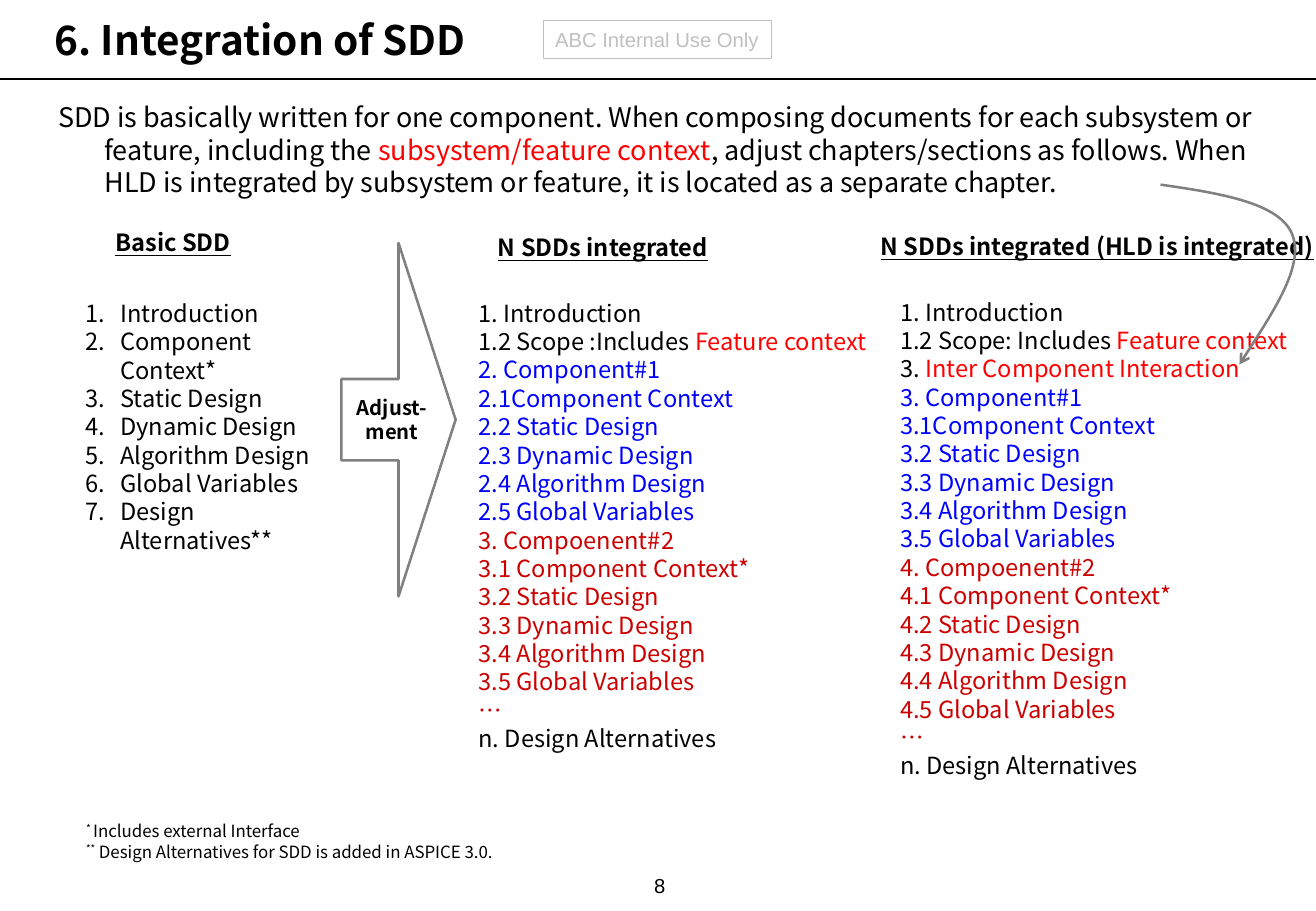
"""Build the slide that explains how several SDDs are integrated into one."""
from dataclasses import dataclass

from lxml import etree
from pptx import Presentation
from pptx import util as u
from pptx.dml.color import RGBColor
from pptx.enum import shapes, text
from pptx.oxml.ns import qn


@dataclass(frozen=True)
class Theme:
    """Hold the colours, fonts and type sizes."""
    black: str = "000000"
    white: str = "FFFFFF"
    red: str = "FF0000"
    blue: str = "0000FF"
    crimson: str = "CC0000"
    grey: str = "808080"
    silver: str = "C0C0C0"
    sans: str = "Noto Sans CJK KR"
    plain: str = "Arial"
    title: int = 24
    body: int = 16
    item: int = 14
    label: int = 12
    note: int = 10
    leading: float = 1.2


THEME = Theme()
COMPONENT_PARTS = ("Static Design", "Dynamic Design", "Algorithm Design", "Global Variables")


def px(value):
    """Turn px, at 100 to the inch, into EMU."""
    return u.Emu(value * 9144)


def assign(target, values):
    """Set attributes from a dict of format values."""
    for name, value in values.items():
        setattr(target, name, value)


class SlideBuilder:
    """Draw elements in the theme's style on the current slide."""

    def __init__(self, slide, theme):
        self.slide, self.theme = slide, theme

    def place(self, shape, box):
        """Move a shape to a px box."""
        assign(shape, dict(zip(("left", "top", "width", "height"), map(px, box))))

    def outline(self, shape, color, width):
        """Colour the line of a shape."""
        shape.line.color.rgb = RGBColor.from_string(color)
        shape.line.width = u.Pt(width)

    def set_text(self, shape, paragraphs, size, frame=None, layout=None, font=None,
                 color=None, hanging=0, numbered=False, leading=True):
        """Fill a shape with paragraphs, each a list of (text, format) runs."""
        assign(shape.text_frame, {"word_wrap": True, "auto_size": text.MSO_AUTO_SIZE.NONE, **(frame or {})})
        for index, runs in enumerate(paragraphs):
            paragraph = shape.text_frame.paragraphs[0] if index == 0 else shape.text_frame.add_paragraph()
            assign(paragraph, {"alignment": text.PP_ALIGN.LEFT, "space_before": u.Pt(0), **(layout or {})})
            if leading:
                paragraph.line_spacing = u.Pt(size * self.theme.leading)
            if hanging:
                properties = paragraph._p.get_or_add_pPr()
                properties.set("marL", str(px(hanging)))
                properties.set("indent", str(-px(hanging)))
                if numbered:
                    bullet = etree.SubElement(properties, qn("a:buFont"))
                    bullet.set("typeface", "+mj-lt")
                    etree.SubElement(properties, qn("a:buAutoNum")).set("type", "arabicPeriod")
                else:
                    etree.SubElement(properties, qn("a:buNone"))
            for content, style in runs:
                style = {"color": color or self.theme.black, "size": size, "raised": False, **style}
                run = paragraph.add_run()
                run.text = content
                run.font.color.rgb = RGBColor.from_string(style.pop("color"))
                if style.pop("raised"):
                    run._r.get_or_add_rPr().set("baseline", "30000")
                style["size"] = u.Pt(style["size"])
                assign(run.font, {"name": self.theme.sans, **(font or {}), **style})

    def placeholder(self, index, box, paragraphs, size, **options):
        """Move and fill a template placeholder."""
        shape = self.slide.placeholders[index]
        self.place(shape, box)
        self.set_text(shape, paragraphs, size, **options)

    def text_box(self, box, paragraphs, size, **options):
        """Add a text box."""
        shape = self.slide.shapes.add_textbox(*map(px, box))
        self.set_text(shape, paragraphs, size, **options)

    def preset(self, kind, box, paragraphs, size, line, fill=None, adjustments=(), **options):
        """Add an outlined preset shape with text."""
        shape = self.slide.shapes.add_shape(kind, *map(px, box))
        shape.shadow.inherit = False
        for index, value in enumerate(adjustments):
            shape.adjustments[index] = value
        if fill:
            shape.fill.solid()
            shape.fill.fore_color.rgb = RGBColor.from_string(fill)
        else:
            shape.fill.background()
        self.outline(shape, *line)
        self.set_text(shape, paragraphs, size, **options)

    def rule(self, start, end, color, width):
        """Add a straight line."""
        connector = self.slide.shapes.add_connector(shapes.MSO_CONNECTOR.STRAIGHT, *map(px, start + end))
        self.outline(connector, color, width)
        etree.SubElement(connector._element.spPr, qn("a:effectLst"))

    def curved_arrow(self, start, points, color, width):
        """Add an arrow along cubic curves, three points to a curve."""
        builder = self.slide.shapes.build_freeform(*start, scale=px(1))
        builder.add_line_segments(points, close=False)
        shape = builder.convert_to_shape()
        shape.shadow.inherit = False
        shape.fill.background()
        self.outline(shape, color, width)
        etree.SubElement(shape._element.spPr.find(qn("a:ln")), qn("a:tailEnd")).set("type", "arrow")
        geometry = next(shape._element.iter(qn("a:path")))
        segments = geometry.findall(qn("a:lnTo"))
        for first in range(0, len(segments), 3):
            curve = etree.SubElement(geometry, qn("a:cubicBezTo"))
            for segment in segments[first:first + 3]:
                curve.append(segment[0])
                geometry.remove(segment)


def lines(*contents, **style):
    """Make one single-run paragraph of each text."""
    return [[(content, style)] for content in contents]


def component(number, heading, context, color):
    """List the chapter of one component."""
    parts = [f"{number}.{index} {part}" for index, part in enumerate(COMPONENT_PARTS, 2)]
    return lines(f"{number}. {heading}", f"{number}.1{context}", *parts, color=color)


def integrated(first, scope, interaction=()):
    """List the chapters of an integrated SDD."""
    return [
        *lines("1. Introduction"),
        [(scope, {}), ("Feature context", {"color": THEME.red})],
        *interaction,
        *component(first, "Component#1", "Component Context", THEME.blue),
        *component(first + 1, "Compoenent#2", " Component Context*", THEME.crimson),
        *lines("…", color=THEME.crimson),
        *lines("n. Design Alternatives"),
    ]


def main():
    """Build and save the slide."""
    presentation = Presentation()
    assign(presentation, {"slide_width": px(1083), "slide_height": px(750)})
    builder = SlideBuilder(presentation.slides.add_slide(presentation.slide_layouts[3]), THEME)
    fit = {"word_wrap": False, "auto_size": text.MSO_AUTO_SIZE.SHAPE_TO_FIT_TEXT}
    centred = {"alignment": text.PP_ALIGN.CENTER}
    middle = {"vertical_anchor": text.MSO_ANCHOR.MIDDLE}

    builder.preset(shapes.MSO_SHAPE.RECTANGLE, (447, 17, 188, 31), lines("ABC Internal Use Only"),
                   THEME.label, (THEME.silver, 0.75), frame={**fit, **middle},
                   font={"name": THEME.plain}, color=THEME.silver, leading=False)
    builder.rule((0, 65), (1083, 65), THEME.black, 0.75)
    builder.placeholder(0, (35, 8, 975, 48), lines("6. Integration of SDD"), THEME.title,
                        frame=middle, font={"bold": True}, leading=False)
    builder.placeholder(1, (38, 78, 1028, 89), [[
        ("SDD is basically written for one component. When composing documents for each subsystem "
         "or feature, including the ", {}),
        ("subsystem/feature context", {"color": THEME.red}),
        (", adjust chapters/sections as follows. When HLD is integrated by subsystem or feature, "
         "it is located as a separate chapter.", {}),
    ]], THEME.body, hanging=38)
    builder.placeholder(2, (60, 241, 230, 175), lines(
        "Introduction", "Component Context*", *COMPONENT_PARTS, "Design Alternatives**",
    ), THEME.item, hanging=29, numbered=True)
    builder.text_box((499, 714, 88, 24), lines("8"), THEME.label, layout=centred,
                     font={"name": THEME.plain}, leading=False)

    for box, heading in (((85, 183, 115, 34), "Basic SDD"),
                         ((400, 187, 196, 34), "N SDDs integrated"),
                         ((715, 186, 382, 34), "N SDDs integrated (HLD is integrated)")):
        builder.text_box(box, lines(heading), THEME.item, frame=fit, font={"bold": True, "underline": True})

    interaction = [[("3. ", {}), ("Inter Component Interaction", {"color": THEME.red})]]
    builder.text_box((384, 241, 344, 387), integrated(2, "1.2 Scope :Includes "), THEME.item, frame=fit)
    builder.text_box((731, 240, 344, 411), integrated(3, "1.2 Scope: Includes ", interaction),
                     THEME.item, frame=fit)
    builder.preset(shapes.MSO_SHAPE.RIGHT_ARROW, (281, 200, 94, 291), lines("Adjust-ment"), THEME.label,
                   (THEME.grey, 1.5), fill=THEME.white, adjustments=(0.23, 0.5),
                   frame=middle, layout=centred, font={"bold": True})
    builder.curved_arrow((955, 152), [(1004, 159), (1052, 167), (1063, 192),
                                      (1074, 217), (1047, 258), (1020, 300)], THEME.grey, 1.5)
    builder.text_box((61, 671, 575, 44), [
        [("* ", {"size": 10.5, "raised": True}), ("Includes external Interface", {})],
        [("**", {"raised": True}), (" Design Alternatives for SDD is added in ASPICE 3.0.", {})],
    ], THEME.note)
    presentation.save("out.pptx")


if __name__ == "__main__":
    main()
